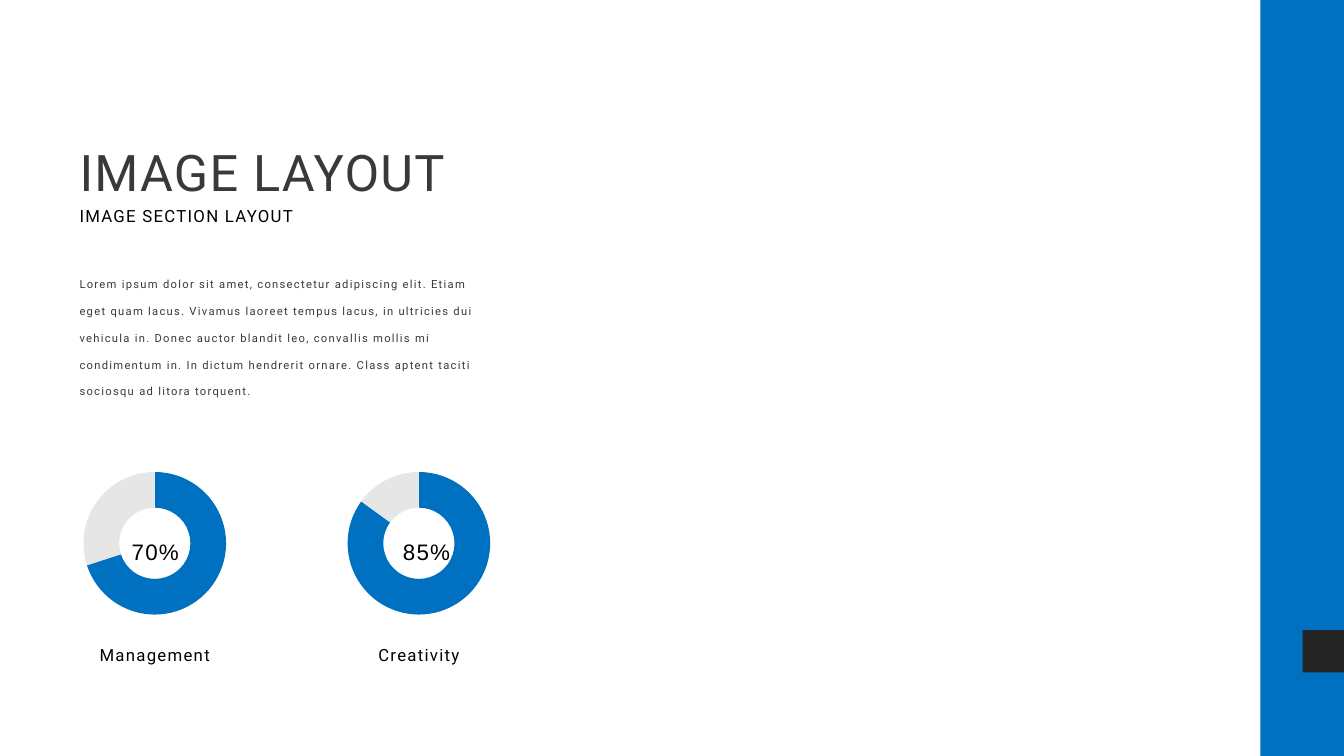
from dataclasses import dataclass

from pptx import Presentation
from pptx.chart.data import CategoryChartData
from pptx.dml.color import RGBColor
from pptx.enum.chart import XL_CHART_TYPE as ChartType
from pptx.enum.shapes import MSO_SHAPE as Preset
from pptx.enum.text import MSO_AUTO_SIZE as AutoSize, PP_ALIGN as Align
from pptx.util import Inches, Pt


@dataclass(frozen=True)
class Theme:
    accent: str = "0070C0"
    dark: str = "252525"
    heading: str = "3B3838"
    text: str = "000000"
    rest: str = "E7E6E6"
    font: str = "Roboto"
    number_font: str = "Arial"
    chart_font: str = "Calibri"
    title_size: int = 36
    number_size: int = 16
    label_size: int = 12
    chart_size: int = 10
    body_size: int = 8
    letter_spacing: int = 90  # hundredths of a point


def set_fill(fill, color):
    fill.solid()
    fill.fore_color.rgb = RGBColor.from_string(color)


def format_font(font, name, size, color):
    font.name = name
    font.size = Pt(size)
    font.color.rgb = RGBColor.from_string(color)


class SlideBuilder:
    def __init__(self, slide, theme):
        self.slide = slide
        self.theme = theme

    def rectangle(self, left, top, width, height, color):
        shape = self.slide.shapes.add_shape(
            Preset.RECTANGLE, Inches(left), Inches(top), Inches(width), Inches(height))
        shape.shadow.inherit = False
        set_fill(shape.fill, color)
        shape.line.fill.background()

    def text(self, text, left, top, width, height, *, size, color=None,
             font=None, align=Align.LEFT, line_spacing=1.0):
        box = self.slide.shapes.add_textbox(
            Inches(left), Inches(top), Inches(width), Inches(height))
        frame = box.text_frame
        frame.word_wrap = True
        frame.auto_size = AutoSize.SHAPE_TO_FIT_TEXT
        paragraph = frame.paragraphs[0]
        paragraph.alignment = align
        paragraph.line_spacing = line_spacing
        run = paragraph.add_run()
        run.text = text
        format_font(run.font, font or self.theme.font, size, color or self.theme.text)
        run.font._element.set("spc", str(self.theme.letter_spacing))

    def doughnut(self, percent, left, top, width, height):
        theme = self.theme
        data = CategoryChartData()
        data.categories = ["1", "2"]
        data.add_series("Series 1", (percent, 100 - percent))
        chart = self.slide.shapes.add_chart(
            ChartType.DOUGHNUT, Inches(left), Inches(top),
            Inches(width), Inches(height), data).chart
        chart.has_legend = False
        chart.has_title = False
        format_font(chart.font, theme.chart_font, theme.chart_size, theme.text)
        plot = chart.plots[0]
        plot.vary_by_categories = True
        plot.has_data_labels = False
        plot._element.xpath("c:holeSize")[0].set("val", "85")
        for index, color in enumerate((theme.accent, theme.rest)):
            point_format = plot.series[0].points[index].format
            set_fill(point_format.fill, color)
            point_format.line.fill.background()

    def gauge(self, label, percent, left, number_left):
        theme = self.theme
        width = 1.69
        self.doughnut(percent, left, 4.54, width, 1.7)
        self.text(f"{percent}%", number_left, 5.16, 0.88, 0.46, size=theme.number_size,
                  font=theme.number_font, align=Align.CENTER, line_spacing=1.5)
        self.text(label, left, 6.25, width, 0.38, size=theme.label_size,
                  align=Align.CENTER, line_spacing=1.5)


def main():
    theme = Theme()
    presentation = Presentation()
    presentation.slide_width = Inches(13.33)
    presentation.slide_height = Inches(7.5)
    slide = presentation.slides.add_slide(presentation.slide_layouts[6])
    builder = SlideBuilder(slide, theme)

    # Side band with its dark tab
    builder.rectangle(12.5, 0, 0.83, 7.5, theme.accent)
    builder.rectangle(12.92, 6.25, 0.41, 0.42, theme.dark)

    # Heading and body text
    margin, column = 0.69, 4.31
    builder.text("IMAGE LAYOUT", margin, 1.05, column, 0.93, size=theme.title_size,
                 color=theme.heading, line_spacing=1.5)
    builder.text("IMAGE SECTION LAYOUT", margin, 1.99, 2.98, 0.3, size=theme.label_size)
    builder.text(
        "Lorem ipsum dolor sit amet, consectetur adipiscing elit. Etiam eget quam lacus. "
        "Vivamus laoreet tempus lacus, in ultricies dui vehicula in. Donec auctor blandit "
        "leo, convallis mollis mi condimentum in. In dictum hendrerit ornare. Class aptent "
        "taciti sociosqu ad litora torquent.",
        margin, 2.57, column, 1.41, size=theme.body_size, color=theme.heading,
        line_spacing=2.0)

    # Doughnut gauges
    builder.gauge("Management", 70, margin, 1.1)
    builder.gauge("Creativity", 85, 3.31, 3.79)

    presentation.save("out.pptx")


if __name__ == "__main__":
    main()
